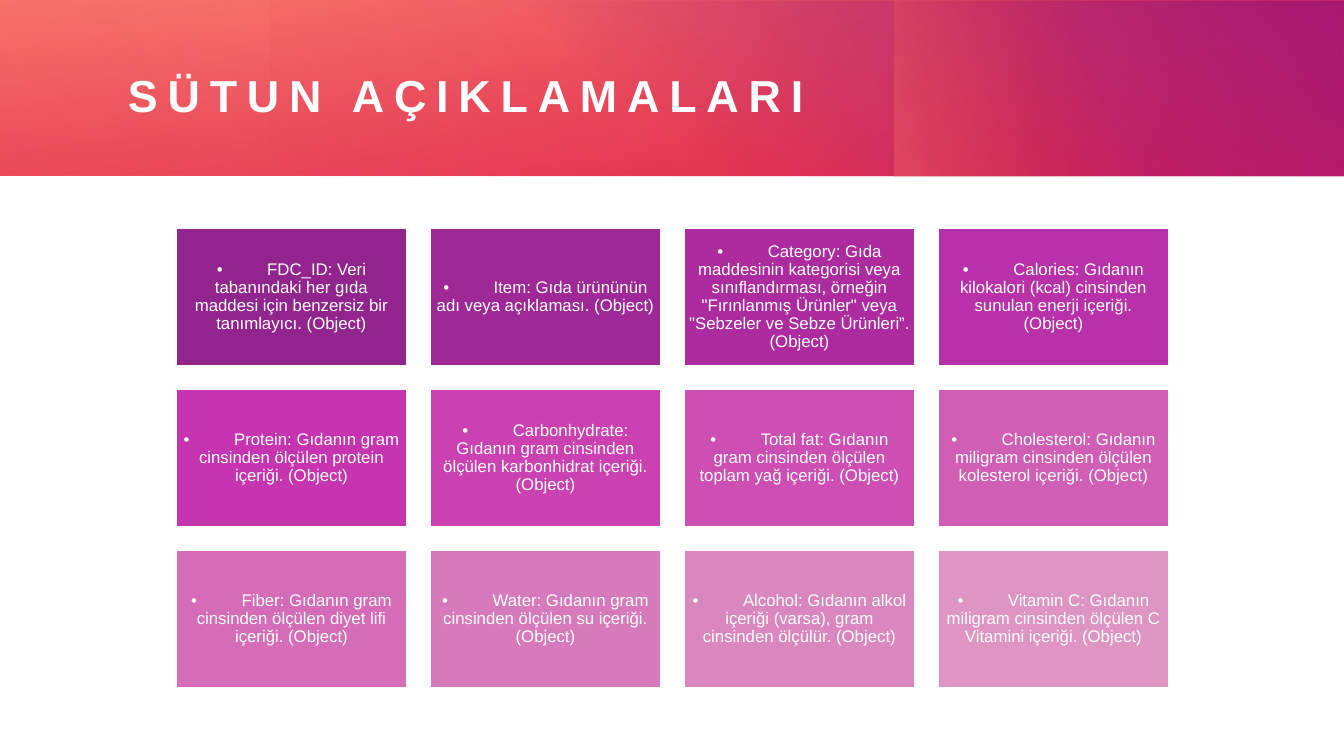
"""Build the slide that explains the columns of a food data set."""
from lxml.etree import SubElement
from pptx import Presentation
from pptx.dml.color import RGBColor
from pptx.enum.shapes import MSO_SHAPE
from pptx.enum.text import MSO_ANCHOR, MSO_AUTO_SIZE, PP_ALIGN
from pptx.oxml.ns import qn
from pptx.util import Emu, Pt

WHITE = RGBColor(0xFF, 0xFF, 0xFF)
RED = RGBColor(0xDA, 0x00, 0x2F)
CORAL = RGBColor(0xFF, 0x90, 0x7A)
ORANGE = RGBColor(0xFE, 0x4A, 0x00)
PURPLE = RGBColor(0x92, 0x24, 0x8E)


def px(n):
    return Emu(round(n * 914400 / 100.8))


def add_rect(s, x, y, w, h):
    sp = s.shapes.add_shape(MSO_SHAPE.RECTANGLE, px(x), px(y), px(w), px(h))
    sp.shadow.inherit = False
    return sp


prs = Presentation()
prs.slide_width, prs.slide_height = px(1344), px(756)
s = prs.slides.add_slide(prs.slide_layouts[5])

bands = [
    ((0, 0, 1344, 176), 0, 260, [(0, RED, 83), (100, CORAL, 100)]),
    ((485, 1, 859, 175), 0, 310, [(22, PURPLE, 0), (99, PURPLE, 100)]),
    ((995, -100, 176, 377), 270, 250, [(45, ORANGE, 0), (99, CORAL, 33)]),
    ((270, 0, 1073, 176), 180, 330, [(0, RED, 30), (99, RED, 0)]),
    ((0, 0, 872, 176), 0, 340, [(0, RED, 21), (99, RED, 0)]),
]
for place, rotation, angle, stops in bands:
    sp = add_rect(s, *place)
    sp.rotation = rotation
    sp.line.fill.background()
    sp.fill.gradient()
    sp.fill.gradient_angle = 360 - angle
    for stop, (position, colour, _) in zip(sp.fill.gradient_stops, stops):
        stop.position = position / 100
        stop.color.rgb = colour
    for clr, (_, _, opacity) in zip(sp.element.spPr.iter(qn("a:srgbClr")), stops):
        SubElement(clr, qn("a:alpha")).set("val", str(opacity * 1000))

title = s.shapes.title
title.element.getparent().append(title.element)
title.left, title.top, title.width, title.height = px(128), px(41), px(1144), px(107)
tf = title.text_frame
frame_format = {"margin_left": 0, "margin_top": 0, "margin_right": 0, "margin_bottom": 0,
                "vertical_anchor": MSO_ANCHOR.MIDDLE, "word_wrap": True,
                "auto_size": MSO_AUTO_SIZE.NONE}
for name, value in frame_format.items():
    setattr(tf, name, value)
p = tf.paragraphs[0]
p.alignment = PP_ALIGN.LEFT
r = p.add_run()
r.text = "SÜTUN AÇIKLAMALARI"
r.font.name, r.font.size, r.font.bold = "Arial", Pt(32), True
r.font.color.rgb = WHITE
r.font._element.set("spc", "700")

columns = [
    (RGBColor(0x92, 0x24, 0x8E), "FDC_ID: Veri tabanındaki her gıda maddesi için benzersiz bir tanımlayıcı."),
    (RGBColor(0x9F, 0x28, 0x97), "Item: Gıda ürününün adı veya açıklaması."),
    (RGBColor(0xAC, 0x2C, 0xA0), "Category: Gıda maddesinin kategorisi veya sınıflandırması, örneğin "
                                 "\"Fırınlanmış Ürünler\" veya \"Sebzeler ve Sebze Ürünleri”."),
    (RGBColor(0xB9, 0x31, 0xA8), "Calories: Gıdanın kilokalori (kcal) cinsinden sunulan enerji içeriği."),
    (RGBColor(0xC6, 0x35, 0xAF), "Protein: Gıdanın gram cinsinden ölçülen protein içeriği."),
    (RGBColor(0xCB, 0x41, 0xB2), "Carbonhydrate: Gıdanın gram cinsinden ölçülen karbonhidrat içeriği."),
    (RGBColor(0xCE, 0x4F, 0xB3), "Total fat: Gıdanın gram cinsinden ölçülen toplam yağ içeriği."),
    (RGBColor(0xD1, 0x5E, 0xB5), "Cholesterol: Gıdanın miligram cinsinden ölçülen kolesterol içeriği."),
    (RGBColor(0xD4, 0x6C, 0xB8), "Fiber: Gıdanın gram cinsinden ölçülen diyet lifi içeriği."),
    (RGBColor(0xD7, 0x7A, 0xBB), "Water: Gıdanın gram cinsinden ölçülen su içeriği."),
    (RGBColor(0xDA, 0x87, 0xBF), "Alcohol: Gıdanın alkol içeriği (varsa), gram cinsinden ölçülür."),
    (RGBColor(0xDE, 0x95, 0xC4), "Vitamin C: Gıdanın miligram cinsinden ölçülen C Vitamini içeriği."),
]
box_format = {"margin_left": px(5), "margin_top": px(5), "margin_right": px(5),
              "margin_bottom": px(5), "vertical_anchor": MSO_ANCHOR.MIDDLE, "word_wrap": True}
for i, (colour, description) in enumerate(columns):
    row, col = divmod(i, 4)
    sp = add_rect(s, 176 + 254 * col, 228 + 161 * row, 231, 138)
    sp.fill.solid()
    sp.fill.fore_color.rgb = colour
    sp.line.color.rgb = WHITE
    sp.line.width = Pt(1)
    tf = sp.text_frame
    for name, value in box_format.items():
        setattr(tf, name, value)
    p = tf.paragraphs[0]
    p.alignment, p.line_spacing = PP_ALIGN.CENTER, 0.9
    r = p.add_run()
    r.text = f"•\t{description} (Object)"
    r.font.name, r.font.size = "Arial", Pt(12)
    r.font.color.rgb = WHITE

prs.save("out.pptx")
